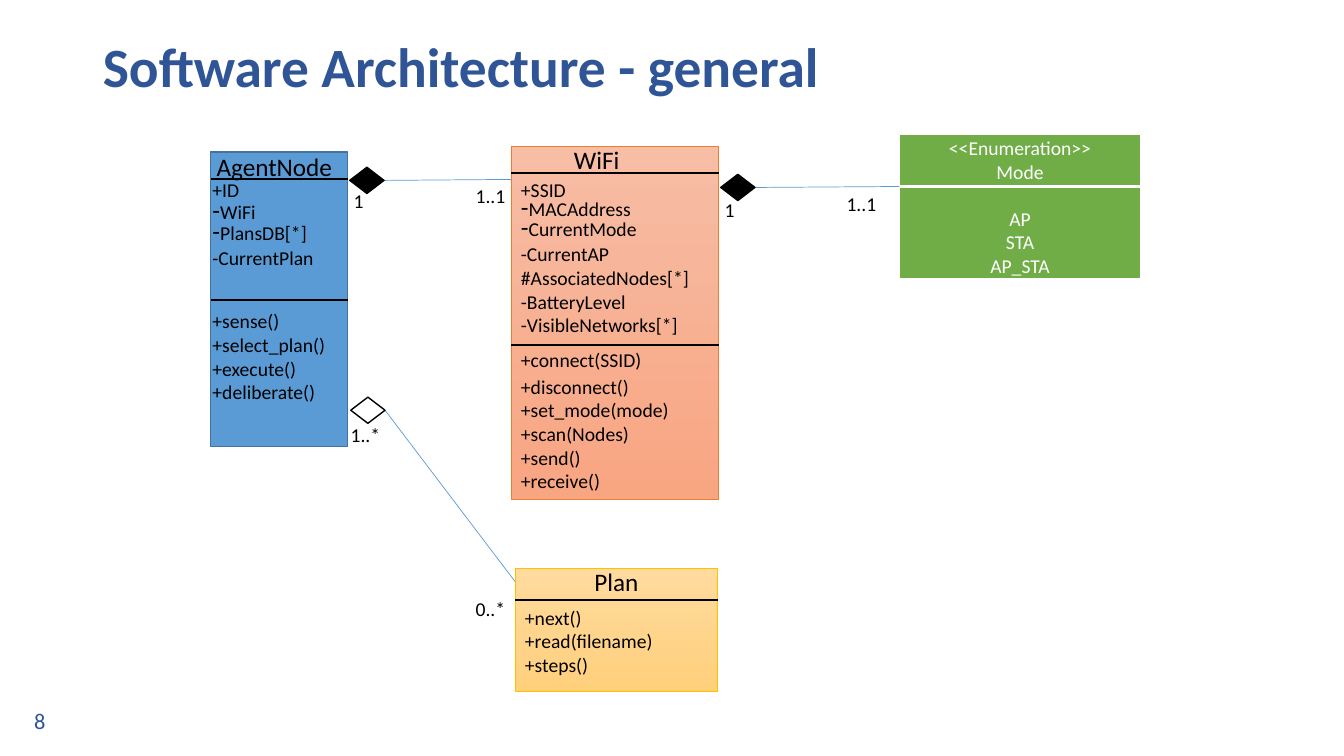
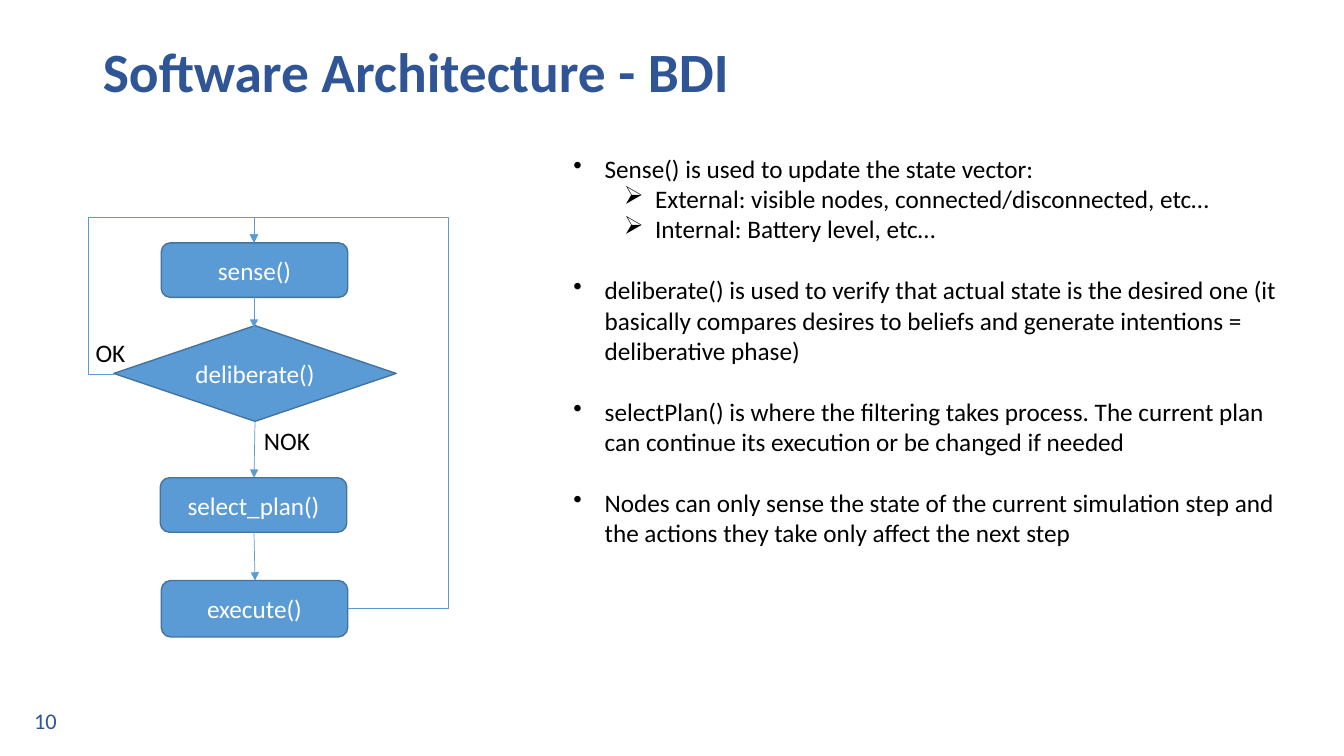
from lxml import etree
from pptx import Presentation
from pptx import util as u
from pptx.dml.color import RGBColor
from pptx.enum import shapes, text
from pptx.oxml import ns

# Grid: ten columns and ten rows to the inch
CELL = u.Inches(0.1)
COLUMNS, ROWS = 133.33, 75
FONT = "Calibri"
TITLE_ONLY = 5

NAVY = RGBColor(0x2F, 0x55, 0x97)
BLUE = RGBColor(0x5B, 0x9B, 0xD5)
DARK_BLUE = RGBColor(0x43, 0x73, 0x9E)
GREEN = RGBColor(0x70, 0xAD, 0x47)
ORANGE = RGBColor(0xED, 0x7D, 0x31)
ORANGE_FADE = (RGBColor(0xF7, 0xBD, 0xA5), RGBColor(0xF8, 0xA5, 0x82))
GOLD = RGBColor(0xFF, 0xC0, 0x00)
GOLD_FADE = (RGBColor(0xFF, 0xDB, 0x9E), RGBColor(0xFF, 0xD0, 0x7C))
BLACK = RGBColor(0, 0, 0)
WHITE = RGBColor(0xFF, 0xFF, 0xFF)

LEFT, CENTER = text.PP_ALIGN.LEFT, text.PP_ALIGN.CENTER
TOP, MIDDLE = text.MSO_ANCHOR.TOP, text.MSO_ANCHOR.MIDDLE
SHAPE = shapes.MSO_SHAPE


def grid(*cells):
    return [round(cell * CELL) for cell in cells]


def write(frame, lines, size=14, color=BLACK, bold=False, align=LEFT,
          anchor=TOP, spacing=None, gaps=None):
    """Each line is a string or a list of (string, size) runs; gaps maps a line to its space before."""
    frame.word_wrap = True
    frame.vertical_anchor = anchor
    for index, line in enumerate(lines):
        paragraph = frame.paragraphs[0] if index == 0 else frame.add_paragraph()
        paragraph.alignment = align
        paragraph.line_spacing = spacing
        if gaps and index in gaps:
            paragraph.space_before = u.Pt(gaps[index])
        for words, run_size in [(line, size)] if isinstance(line, str) else line:
            run = paragraph.add_run()
            run.text = words
            run.font.name = FONT
            run.font.size = u.Pt(run_size)
            run.font.bold = bold
            run.font.color.rgb = color


def add_text(slide, box, lines, **style):
    frame = slide.shapes.add_textbox(*grid(*box)).text_frame
    write(frame, lines, **style)
    return frame


def add_block(slide, kind, box, fill, outline, weight=1):
    """A preset shape; a pair of fill colours fades from top to bottom."""
    block = slide.shapes.add_shape(kind, *grid(*box))
    block.shadow.inherit = False
    if isinstance(fill, RGBColor):
        block.fill.solid()
        block.fill.fore_color.rgb = fill
    else:
        block.fill.gradient()
        block.fill.gradient_angle = 270
        for stop, color in zip(block.fill.gradient_stops, fill):
            stop.color.rgb = color
    block.line.color.rgb = outline
    block.line.width = u.Pt(weight)
    return block


def add_line(slide, start, end, color=BLUE, weight=0.5, arrow=False,
             kind=shapes.MSO_CONNECTOR.STRAIGHT):
    line = slide.shapes.add_connector(kind, *grid(*start, *end))
    line.line.color.rgb = color
    line.line.width = u.Pt(weight)
    if arrow:
        etree.SubElement(line.line._get_or_add_ln(), ns.qn("a:tailEnd"), type="triangle")
    etree.SubElement(line.element.spPr, ns.qn("a:effectLst"))
    return line


def add_loop(slide, start, end, lane, ceiling):
    """An arrow that leaves sideways to a lane, runs to the ceiling and drops on its end."""
    loop = add_line(slide, start, end, arrow=True, kind=shapes.MSO_CONNECTOR.ELBOW)
    geometry = loop.element.spPr.find(ns.qn("a:prstGeom"))
    geometry.set("prst", "bentConnector4")
    guides = geometry.find(ns.qn("a:avLst"))
    if guides is None:
        guides = etree.SubElement(geometry, ns.qn("a:avLst"))
    turns = ((lane - start[0]) / (end[0] - start[0]),
             (ceiling - start[1]) / (end[1] - start[1]))
    for number, share in enumerate(turns, 1):
        etree.SubElement(guides, ns.qn("a:gd"), name=f"adj{number}",
                         fmla=f"val {round(share * 100000)}")


def add_class(slide, box, name, name_box, fill, outline, weight, dividers, members):
    """A class box with its name, divider rows and groups of members."""
    left, _, width, _ = box
    add_block(slide, SHAPE.RECTANGLE, box, fill, outline, weight)
    add_text(slide, name_box, [name], size=18,
             align=LEFT if name == "AgentNode" else CENTER)
    for row in dividers:
        add_line(slide, (left, row), (left + width, row), BLACK, 1.5)
    member_left = left - 0.8 if name == "AgentNode" else left
    for row, lines in members:
        add_text(slide, (member_left, row, 20.6, 2.4 * len(lines) + 1), lines)


def long_dash(member):
    return [("-", 18), (member, 14)]


def bullet(paragraph, mark, indent):
    properties = paragraph._p.get_or_add_pPr()
    properties.set("marL", str(u.Inches(indent)))
    properties.set("indent", str(-u.Inches(0.31)))
    etree.SubElement(properties, ns.qn("a:buChar"), char=mark)


def new_slide(deck, title, title_height, number):
    slide = deck.slides.add_slide(deck.slide_layouts[TITLE_ONLY])
    heading = slide.shapes.title
    heading.left, heading.top, heading.width, heading.height = grid(9.2, 4, 115, title_height)
    heading.text_frame.auto_size = text.MSO_AUTO_SIZE.NONE
    write(heading.text_frame, [title], size=39.6, color=NAVY, bold=True,
          anchor=MIDDLE, spacing=0.9)
    add_text(slide, (2.4, 69.5, 30, 4), [number], size=16, color=NAVY, anchor=MIDDLE)
    return slide


def general_slide(deck):
    slide = new_slide(deck, "Software Architecture - general", 5.8, "8")

    # Classes
    add_class(slide, (20.9, 15.1, 13.6, 29.2), "AgentNode", (20.5, 14.5, 14, 4),
              BLUE, DARK_BLUE, 1, (17.8, 29.8), [
                  (17.2, ["+ID"]),
                  (18.8, [long_dash("WiFi")]),
                  (20.9, [long_dash("PlansDB[*]"), "-CurrentPlan"]),
                  (30.2, ["+sense()", "+select_plan()", "+execute()", "+deliberate()"])])
    add_class(slide, (50.7, 14.5, 20.6, 35), "WiFi", (50.7, 13.8, 17, 4),
              ORANGE_FADE, ORANGE, 0.5, (17.2, 34.2), [
                  (17.2, ["+SSID"]),
                  (18.5, [long_dash("MACAddress")]),
                  (20.5, [long_dash("CurrentMode")]),
                  (23.5, ["-CurrentAP"]),
                  (25.9, ["#AssociatedNodes[*]", "-BatteryLevel", "-VisibleNetworks[*]"]),
                  (34, ["+connect(SSID)"]),
                  (36.7, ["+disconnect()"]),
                  (39, ["+set_mode(mode)"]),
                  (41.4, ["+scan(Nodes)", "+send()", "+receive()"])])
    add_class(slide, (51.1, 56.4, 20.1, 12.2), "Plan", (51.1, 55.7, 20.1, 4),
              GOLD_FADE, GOLD, 0.5, (59.5,), [
                  (59.6, ["+next()", "+read(filename)", "+steps()"])])

    # Enumeration
    mode = add_block(slide, SHAPE.RECTANGLE, (89.2, 13.3, 24, 14.4), GREEN, WHITE, 1.5)
    write(mode.text_frame, ["<<Enumeration>>", "Mode", "AP", "STA", "AP_STA"],
          color=WHITE, align=CENTER, anchor=MIDDLE, gaps={2: 17})
    add_line(slide, (89.2, 18.5), (113.2, 18.5), WHITE, 1.5)

    # Relations: diamond, then the line from its right corner
    for left, top, fill, end in ((34.7, 16.6, BLACK, (50.7, 17.8)),
                                 (71.5, 17.3, BLACK, (89.2, 18.5)),
                                 (34.8, 39.4, WHITE, (51.1, 57.7))):
        add_line(slide, (left + 3.4, top + 1.3), end)
        add_block(slide, SHAPE.FLOWCHART_DECISION, (left, top, 3.4, 2.6), fill, BLACK)

    # Multiplicities
    for left, top, count in ((34.1, 18.3, "1"), (46.2, 17.8, "1..1"),
                             (70.9, 19.1, "1"), (83, 18.5, "1..1"),
                             (33.8, 41.5, "1..*"), (46.2, 58.7, "0..*")):
        add_text(slide, (left, top, 6, 3.4), [count])


def bdi_slide(deck):
    slide = new_slide(deck, "Software Architecture - BDI", 6.8, "10")

    # Steps of the cycle
    for kind, box, step in (
            (SHAPE.ROUNDED_RECTANGLE, (16, 24.1, 18.5, 5.4), "sense()"),
            (SHAPE.DIAMOND, (11.3, 32.3, 28, 9.5), "deliberate()"),
            (SHAPE.ROUNDED_RECTANGLE, (15.9, 47.4, 18.5, 5.4), "select_plan()"),
            (SHAPE.ROUNDED_RECTANGLE, (16, 57.6, 18.5, 5.6), "execute()")):
        block = add_block(slide, kind, box, BLUE, DARK_BLUE)
        write(block.text_frame, [step], size=18, color=WHITE, align=CENTER, anchor=MIDDLE)

    # Flow
    for start, end in (((25.2, 29.5), (25.2, 32.5)),
                       ((25.3, 41.8), (25.2, 47.4)),
                       ((25.2, 52.8), (25.3, 57.6))):
        add_line(slide, start, end, arrow=True)
    for start, lane in (((11.3, 37.1), 8.8), ((34.5, 60.4), 44.5)):
        add_loop(slide, start, (25.2, 24.1), lane, 21.6)
    for left, top, answer in ((25.2, 41.7, "NOK"), (8.5, 33, "OK")):
        add_text(slide, (left, top, 8, 4), [answer], size=18)

    # Explanation
    points = [
        ("•", "Sense() is used to update the state vector:"),
        ("➢", "External: visible nodes, connected/disconnected, etc…"),
        ("➢", "Internal: Battery level, etc…"),
        ("•", "deliberate() is used to verify that actual state is the desired one (it "
              "basically compares desires to beliefs and generate intentions = "
              "deliberative phase)"),
        ("•", "selectPlan() is where the filtering takes process. The current plan "
              "can continue its execution or be changed if needed"),
        ("•", "Nodes can only sense the state of the current simulation step and "
              "the actions they take only affect the next step"),
    ]
    frame = add_text(slide, (55.9, 14.7, 73.8, 40.4), [words for _, words in points],
                     size=18, gaps={3: 22, 4: 22, 5: 22})
    for paragraph, (mark, _) in zip(frame.paragraphs, points):
        paragraph.level = int(mark == "➢")
        bullet(paragraph, mark, 0.31 + 0.5 * paragraph.level)


def main():
    deck = Presentation()
    deck.slide_width, deck.slide_height = grid(COLUMNS, ROWS)
    general_slide(deck)
    bdi_slide(deck)
    deck.save("out.pptx")


if __name__ == "__main__":
    main()
